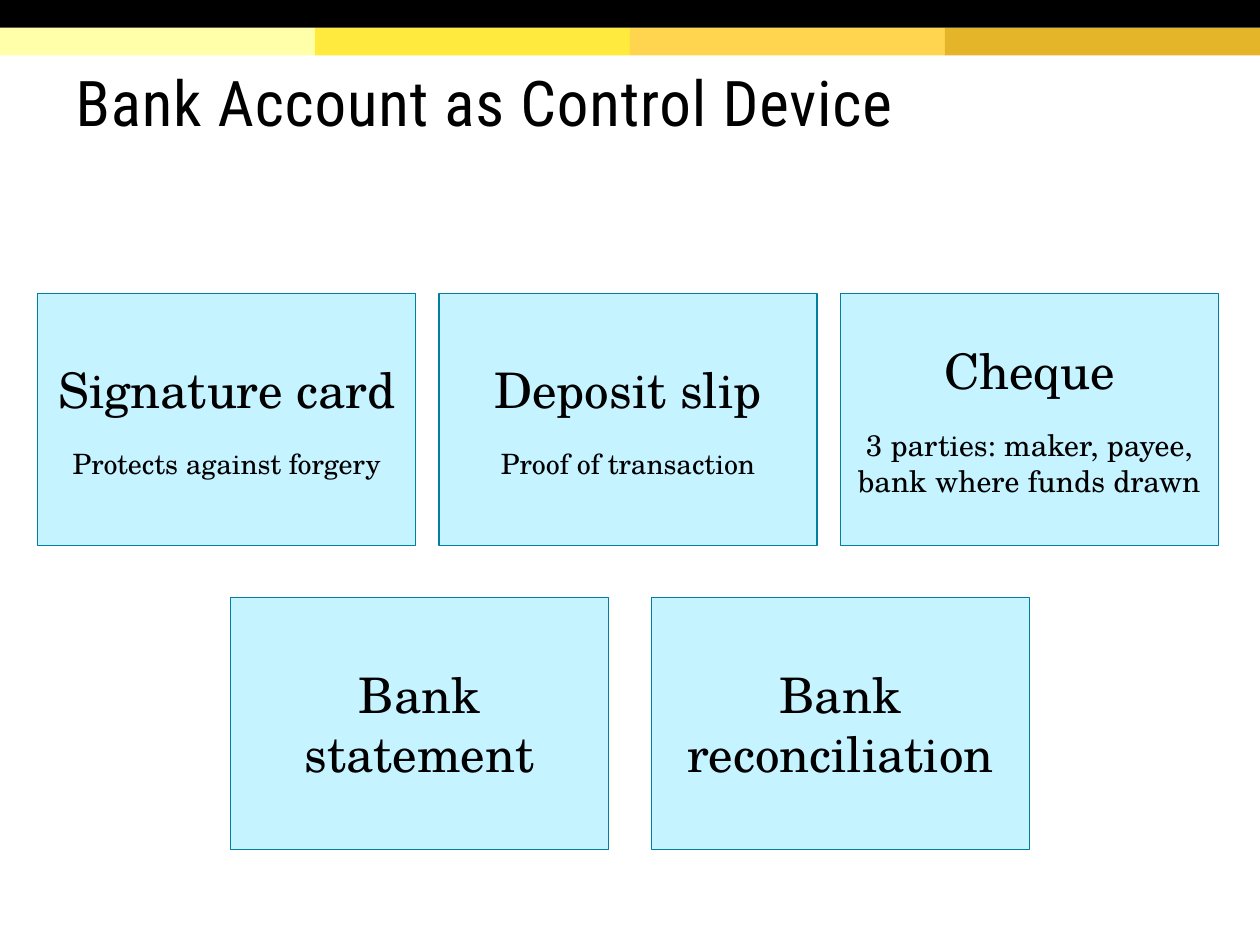
"""Build a slide on the bank account as a control device."""
from pptx import Presentation
from pptx.dml.color import RGBColor
from pptx.enum.shapes import MSO_SHAPE
from pptx.enum.text import MSO_ANCHOR, MSO_AUTO_SIZE, PP_ALIGN
from pptx.util import Inches, Pt

TITLE = "Bank Account as Control Device"
BAND_COLORS = ["FFFFAA", "FFEA3D", "FFD54F", "E4B429"]
BAND_W, BAND_H = 2.5, 0.22
CARD_W, CARD_H = 3, 2
CARD_ROWS = [
    {"left": 0.3, "top": 2.33, "step": 3.185, "cards": [
        [("Signature card", 28), ("Protects against forgery", 16)],
        [("Deposit slip", 28), ("Proof of transaction", 16)],
        [("Cheque", 28), ("3 parties: maker, payee, bank where funds drawn", 17)],
    ]},
    {"left": 1.83, "top": 4.74, "step": 3.34, "cards": [
        [("Bank statement", 28)],
        [("Bank reconciliation", 28)],
    ]},
]
CARD_PARAGRAPH = {"alignment": PP_ALIGN.CENTER, "space_before": Pt(8), "space_after": Pt(8)}
TITLE_PARAGRAPH = {"alignment": PP_ALIGN.LEFT, "line_spacing": 0.85}


def rgb(value):
    return RGBColor.from_string(value)


def apply(obj, values):
    for name, value in values.items():
        setattr(obj, name, value)


def add_box(s, box, fill, line=None):
    sp = s.shapes.add_shape(MSO_SHAPE.RECTANGLE, *map(Inches, box))
    sp.shadow.inherit = False
    sp.fill.solid()
    sp.fill.fore_color.rgb = rgb(fill)
    if line:
        sp.line.color.rgb = rgb(line)
        sp.line.width = Pt(0.75)
    else:
        sp.line.fill.background()
    return sp


def set_frame(tf, bottom):
    apply(tf, {"word_wrap": True, "auto_size": MSO_AUTO_SIZE.NONE,
               "vertical_anchor": MSO_ANCHOR.MIDDLE,
               "margin_left": Inches(0.1), "margin_right": Inches(0.1),
               "margin_top": Inches(0.1), "margin_bottom": Inches(bottom)})


def write(p, text, size, font, paragraph):
    apply(p, paragraph)
    r = p.add_run()
    r.text = text
    apply(r.font, {"size": Pt(size), "name": font})
    r.font.color.rgb = rgb("000000")
    return r


def add_title(s):
    sp = s.shapes.title
    apply(sp, {"left": Inches(0.5), "top": Inches(0.23),
               "width": Inches(9), "height": Inches(1.2)})
    set_frame(sp.text_frame, 0.05)
    r = write(sp.text_frame.paragraphs[0], TITLE, 36, "Roboto Condensed", TITLE_PARAGRAPH)
    r.font._element.set("spc", "50")


def add_card(s, left, top, lines):
    tf = add_box(s, (left, top, CARD_W, CARD_H), "C5F3FF", "007FA3").text_frame
    set_frame(tf, 0.1)
    for i, (text, size) in enumerate(lines):
        p = tf.add_paragraph() if i else tf.paragraphs[0]
        write(p, text, size, "TeX Gyre Schola", CARD_PARAGRAPH)


def main():
    prs = Presentation()
    prs.slide_width, prs.slide_height = Inches(10), Inches(7.5)
    s = prs.slides.add_slide(prs.slide_layouts[5])
    for i, color in enumerate(BAND_COLORS):
        add_box(s, (i * BAND_W, BAND_H, BAND_W, BAND_H), color)
    add_box(s, (0, 0, 10, BAND_H), "000000")
    add_title(s)
    for row in CARD_ROWS:
        for i, lines in enumerate(row["cards"]):
            add_card(s, row["left"] + i * row["step"], row["top"], lines)
    prs.save("out.pptx")


if __name__ == "__main__":
    main()
